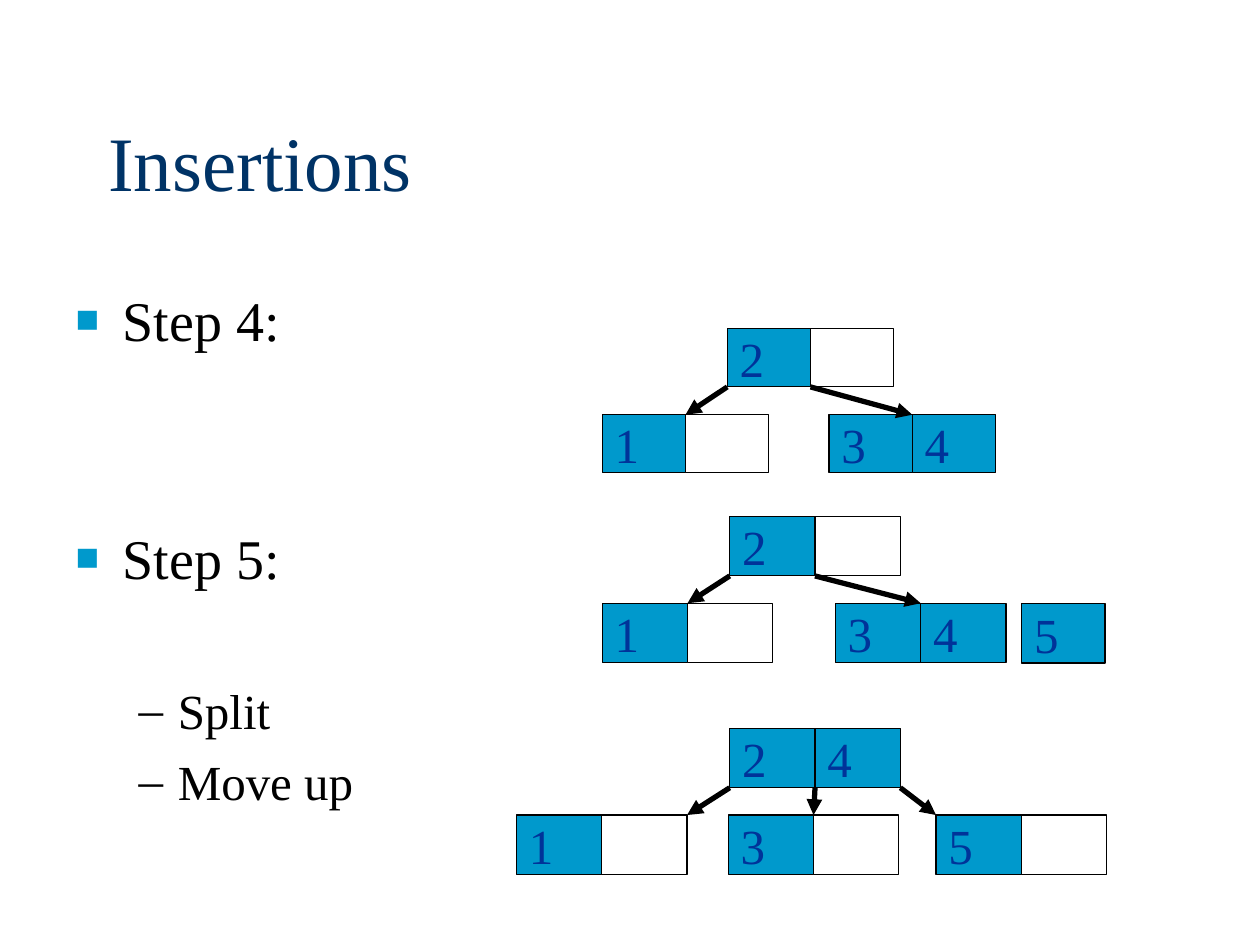
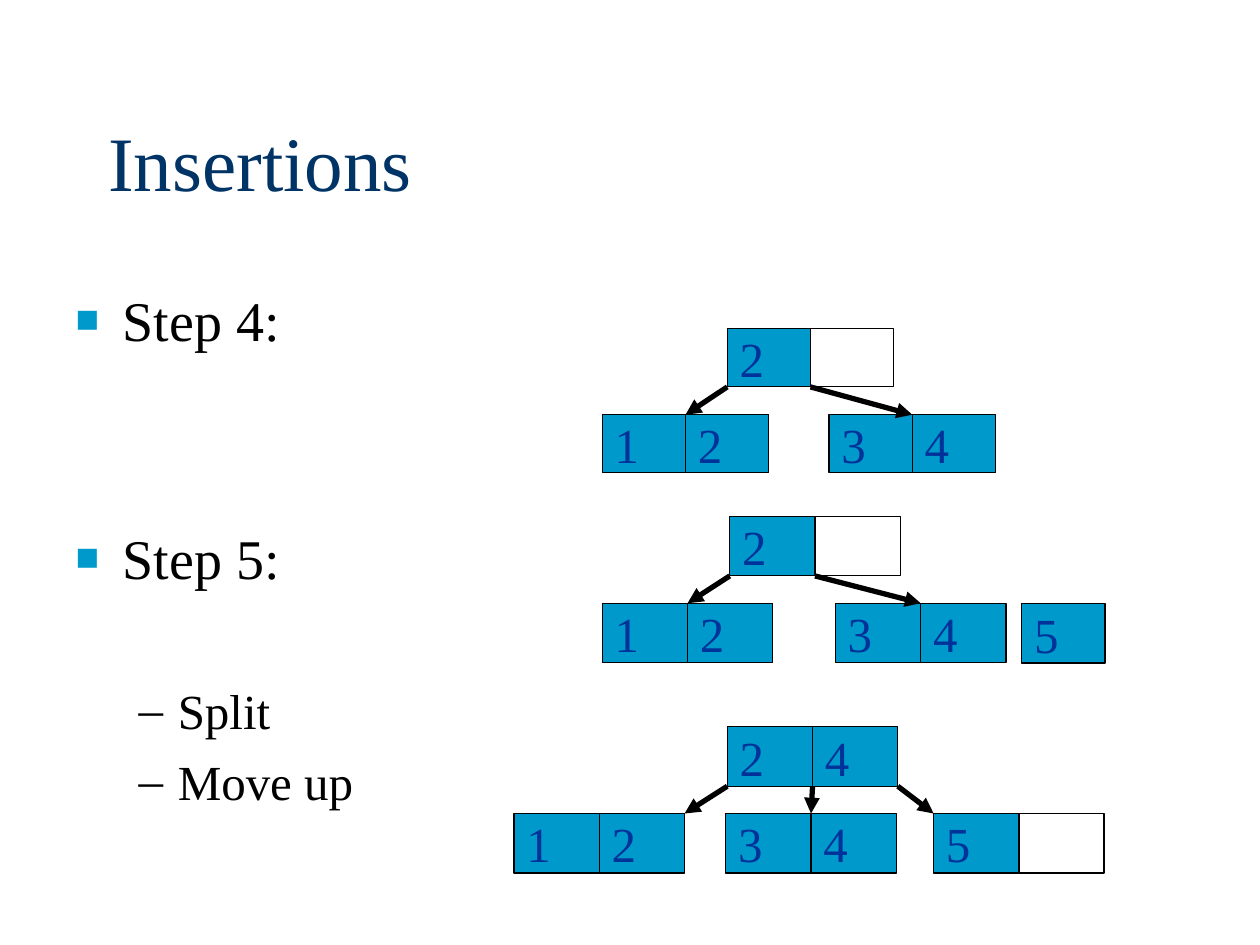
from lxml.etree import SubElement
from pptx import Presentation
from pptx.dml.color import RGBColor
from pptx.enum.shapes import MSO_CONNECTOR, MSO_SHAPE
from pptx.enum.text import MSO_ANCHOR, MSO_AUTO_SIZE, PP_ALIGN
from pptx.oxml.ns import qn
from pptx.util import Cm, Pt

FONT = "Times New Roman"
NAVY = RGBColor(0x00, 0x33, 0x66)
KEY_BLUE = RGBColor(0x00, 0x33, 0x99)
CELL_BLUE = RGBColor(0x00, 0x99, 0xCC)
BLACK = RGBColor(0, 0, 0)
WHITE = RGBColor(0xFF, 0xFF, 0xFF)

TITLE = "Insertions"
# text, level, space before in points
STEPS = [("Step 4:", 0, 0), ("Step 5:", 0, 97.5),
         ("Split", 1, 51.4), ("Move up", 1, 6.7)]
# per level: size, left margin and hanging indent in cm, bullet, bullet percent
LEVELS = [(32, 0.95, 0.95, "■", 70), (28, 2.06, 0.79, "–", 100)]

# Lengths in cm. A link joins a root corner to a corner of a child;
# corners count cell edges from the left.
TWO_CHILD_LINKS = [(0, 0, 1), (1, 1, 1)]
THREE_CHILD_LINKS = [(0, 0, 2), (1, 1, 1), (2, 2, 0)]
STEP_4 = dict(root=(14.66, 6.63), children=(12.14, 16.71), drop=1.73,
              cell=(1.68, 1.17), links=TWO_CHILD_LINKS)
STEP_5 = dict(root=(14.71, 10.41), children=(12.14, 16.84), drop=1.75,
              cell=(1.72, 1.2), links=TWO_CHILD_LINKS)
SPLIT = dict(root=(14.71, 14.68), children=(10.41, 14.68, 18.87), drop=1.75,
             cell=(1.72, 1.2), links=THREE_CHILD_LINKS)
OVERFLOW_CELL = dict(left=20.6, top=12.17, keys=["5"], cell=(1.68, 1.2))

# Each tree lists the keys of its root, then of its children.
SLIDES = [
    dict(split_shift=(0, 0), trees=[
        [["2", ""], ["1", ""], ["3", "4"]],
        [["2", ""], ["1", ""], ["3", "4"]],
        [["2", "4"], ["1", ""], ["3", ""], ["5", ""]]]),
    dict(split_shift=(-0.05, -0.03), trees=[
        [["2", ""], ["1", "2"], ["3", "4"]],
        [["2", ""], ["1", "2"], ["3", "4"]],
        [["2", "4"], ["1", "2"], ["3", "4"], ["5", ""]]]),
]


def place(shape, left, top, width, height):
    shape.left, shape.top = Cm(left), Cm(top)
    shape.width, shape.height = Cm(width), Cm(height)


def style_font(font, size, color):
    font.name, font.size, font.color.rgb = FONT, Pt(size), color


def add_title(slide):
    title = slide.shapes.title
    place(title, 1.93, 1.65, 21.59, 3.18)
    title.text_frame.text = TITLE
    title.text_frame.vertical_anchor = MSO_ANCHOR.MIDDLE
    paragraph = title.text_frame.paragraphs[0]
    paragraph.alignment = PP_ALIGN.LEFT
    style_font(paragraph.runs[0].font, 44, NAVY)


def set_bullet(paragraph, margin, hanging, character, percent):
    properties = paragraph._p.get_or_add_pPr()
    properties.set("marL", str(Cm(margin)))
    properties.set("indent", str(-Cm(hanging)))
    if percent != 100:
        color = SubElement(properties, qn("a:buClr"))
        SubElement(color, qn("a:srgbClr"), val=str(CELL_BLUE))
        SubElement(properties, qn("a:buSzPct"), val=str(percent * 1000))
    SubElement(properties, qn("a:buFont"), typeface=FONT)
    SubElement(properties, qn("a:buChar"), char=character)


def add_steps(slide):
    body = slide.placeholders[1]
    place(body, 1.27, 5.51, 22.86, 4.01)
    frame = body.text_frame
    frame.auto_size = MSO_AUTO_SIZE.NONE
    frame.vertical_anchor = MSO_ANCHOR.TOP
    frame.margin_top = Cm(0.25)
    frame.text = "\n".join(text for text, _, _ in STEPS)
    for paragraph, (_, level, space) in zip(frame.paragraphs, STEPS):
        size, *bullet = LEVELS[level]
        paragraph.level = level
        set_bullet(paragraph, *bullet)
        paragraph.space_before = Pt(space)
        style_font(paragraph.runs[0].font, size, BLACK)


def add_node(shapes, left, top, keys, cell):
    """Draw a row of cells; a cell without a key is white."""
    width, height = cell
    for column, key in enumerate(keys):
        box = shapes.add_shape(MSO_SHAPE.RECTANGLE, Cm(left + column * width),
                               Cm(top), Cm(width), Cm(height))
        box.shadow.inherit = False
        box.fill.solid()
        box.fill.fore_color.rgb = CELL_BLUE if key else WHITE
        box.line.color.rgb = BLACK
        box.line.width = Pt(0.75)
        if key:
            frame = box.text_frame
            frame.text = key
            frame.vertical_anchor = MSO_ANCHOR.MIDDLE
            frame.paragraphs[0].alignment = PP_ALIGN.LEFT
            style_font(frame.paragraphs[0].runs[0].font, 28, KEY_BLUE)


def add_arrow(shapes, start, end):
    arrow = shapes.add_connector(MSO_CONNECTOR.STRAIGHT,
                                 *(Cm(value) for value in start + end))
    arrow.line.color.rgb = BLACK
    arrow.line.width = Pt(3)
    SubElement(arrow.line._get_or_add_ln(), qn("a:tailEnd"), type="triangle")
    SubElement(arrow._element.spPr, qn("a:effectLst"))


def add_tree(slide, keys, root, children, drop, cell, links, shift=(0, 0)):
    shapes = slide.shapes.add_group_shape().shapes
    width, height = cell
    root_left, root_top = root[0] + shift[0], root[1] + shift[1]
    child_lefts = [left + shift[0] for left in children]
    child_top = root_top + drop
    add_node(shapes, root_left, root_top, keys[0], cell)
    for left, child_keys in zip(child_lefts, keys[1:]):
        add_node(shapes, left, child_top, child_keys, cell)
    for root_corner, child, child_corner in links:
        add_arrow(shapes,
                  (root_left + root_corner * width, root_top + height),
                  (child_lefts[child] + child_corner * width, child_top))


def main():
    presentation = Presentation()
    presentation.slide_width, presentation.slide_height = Cm(25.4), Cm(19.05)
    for content in SLIDES:
        slide = presentation.slides.add_slide(presentation.slide_layouts[1])
        add_title(slide)
        add_steps(slide)
        add_node(slide.shapes, **OVERFLOW_CELL)
        step_4_keys, step_5_keys, split_keys = content["trees"]
        add_tree(slide, step_4_keys, **STEP_4)
        add_tree(slide, step_5_keys, **STEP_5)
        add_tree(slide, split_keys, **SPLIT, shift=content["split_shift"])
    presentation.save("out.pptx")


if __name__ == "__main__":
    main()
